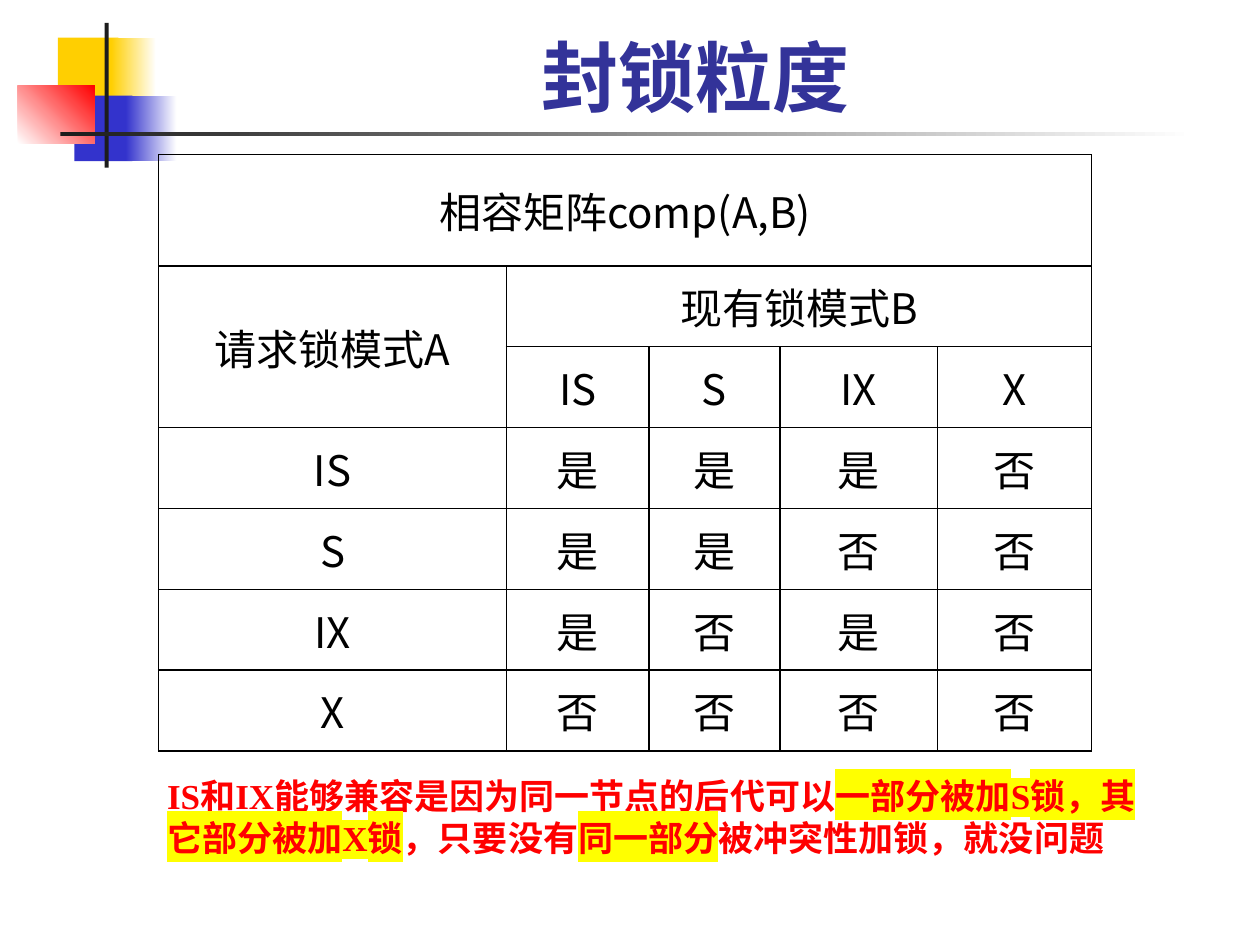
from dataclasses import dataclass
from typing import Optional

import pptx
import pptx.dml.color
import pptx.enum.shapes
import pptx.enum.text
import pptx.oxml.ns
import pptx.oxml.xmlchemy
import pptx.util
from lxml import etree

Cm = pptx.util.Cm
Pt = pptx.util.Pt
RGB = pptx.dml.color.RGBColor
qn = pptx.oxml.ns.qn
ALIGN = pptx.enum.text.PP_ALIGN
ANCHOR = pptx.enum.text.MSO_ANCHOR

GOLD = RGB(0xFF, 0xCF, 0x01)
BLUE = RGB(0x33, 0x33, 0xCC)
NAVY = RGB(0x33, 0x33, 0x99)
RED = RGB(0xFF, 0, 0)
DARK = RGB(0x1C, 0x1C, 0x1C)
WHITE = RGB(0xFF, 0xFF, 0xFF)
BLACK = RGB(0, 0, 0)
YELLOW = RGB(0xFF, 0xFF, 0)
SANS = "Noto Sans CJK SC"


@dataclass
class Block:
    left: float
    top: float
    width: float
    height: float
    color: RGB
    fade: Optional[RGB] = None
    angle: float = 0


@dataclass
class Style:
    size: int
    font: str
    color: RGB
    bold: bool = False


BLOCKS = [
    Block(1.17, 0.76, 1.22, 1.32, GOLD),
    Block(2.24, 0.76, 0.91, 1.32, GOLD, WHITE),
    Block(1.5, 1.93, 1.17, 1.32, BLUE),
    Block(2.54, 1.93, 1.02, 1.32, BLUE, WHITE),
    Block(0.36, 1.73, 1.55, 1.17, WHITE, RED, 45),
    Block(2.11, 0.46, 0.08, 2.92, DARK),
    Block(1.22, 2.67, 22.86, 0.08, DARK, WHITE),
]

HEAD = Style(44, "Karla", NAVY, True)
BODY = Style(24, SANS, BLACK)
NOTE = Style(20, "Times New Roman", RED, True)

COLS = [7.01, 2.87, 2.64, 3.18, 3.1]
ROWS = [2.24] + [1.63] * 6
MODES = ["IS", "S", "IX", "X"]
MATRIX = ["是是是否", "是是否否", "是否是否", "否否否否"]
MERGES = [(0, 0, 0, 4), (1, 0, 2, 0), (1, 1, 1, 4)]

# Each part of the note, and whether it is marked
PARTS = [
    ("IS和IX能够兼容是因为同一节点的后代可以", False),
    ("一部分被加S锁，其它部分被加X锁", True),
    ("，只要没有", False),
    ("同一部分", True),
    ("被冲突性加锁，就没问题", False),
]


def add_block(slide, block: Block) -> None:
    shape = slide.shapes.add_shape(
        pptx.enum.shapes.MSO_SHAPE.RECTANGLE,
        Cm(block.left), Cm(block.top), Cm(block.width), Cm(block.height))
    shape.shadow.inherit = False
    shape.line.fill.background()
    if block.fade is None:
        shape.fill.solid()
        shape.fill.fore_color.rgb = block.color
        return
    shape.fill.gradient()
    shape.fill.gradient_angle = block.angle
    for stop, color in zip(shape.fill.gradient_stops, (block.color, block.fade)):
        stop.color.rgb = color


def add_run(para, text: str, style: Style, mark: bool = False) -> None:
    run = para.add_run()
    run.text = text
    font = run.font
    font.size, font.name, font.bold = Pt(style.size), style.font, style.bold
    font.color.rgb = style.color
    props = run._r.get_or_add_rPr()
    props.find(qn("a:latin")).addnext(
        props.makeelement(qn("a:ea"), {"typeface": SANS}))
    if mark:
        light = props.makeelement(qn("a:highlight"), {})
        etree.SubElement(light, qn("a:srgbClr"), val=str(YELLOW))
        props.find(qn("a:solidFill")).addnext(light)


def add_box(slide, left: float, top: float, width: float, height: float):
    box = slide.shapes.add_textbox(Cm(left), Cm(top), Cm(width), Cm(height))
    box.text_frame.word_wrap = True
    return box.text_frame


def add_edges(cell, row: int) -> None:
    props = cell._tc.get_or_add_tcPr()
    for side in "LRTB":
        width = 0.75 if row == 0 and side != "B" else 1
        line = etree.SubElement(props, qn("a:ln" + side), w=str(Pt(width)))
        fill = etree.SubElement(line, qn("a:solidFill"))
        etree.SubElement(fill, qn("a:srgbClr"), val=str(BLACK))


def add_matrix(slide) -> None:
    grid = [
        ["相容矩阵comp(A,B)"] + [""] * 4,
        ["请求锁模式A", "现有锁模式B", "", "", ""],
        [""] + MODES,
    ] + [[mode, *marks] for mode, marks in zip(MODES, MATRIX)]
    table = slide.shapes.add_table(
        len(ROWS), len(COLS), Cm(3.2), Cm(3.12),
        Cm(sum(COLS)), Cm(sum(ROWS))).table
    table.first_row = table.horz_banding = False
    for col, width in zip(table.columns, COLS):
        col.width = Cm(width)
    for row, height in zip(table.rows, ROWS):
        row.height = Cm(height)
    for r, line in enumerate(grid):
        for c, text in enumerate(line):
            cell = table.cell(r, c)
            add_edges(cell, r)
            cell.fill.background()
            cell.vertical_anchor = ANCHOR.MIDDLE
            para = cell.text_frame.paragraphs[0]
            para.alignment = ALIGN.CENTER
            if text:
                add_run(para, text, BODY)
    for top, left, bottom, right in MERGES:
        table.cell(top, left).merge(table.cell(bottom, right))


def main() -> None:
    deck = pptx.Presentation()
    deck.slide_width, deck.slide_height = Cm(25.4), Cm(19.05)
    slide = deck.slides.add_slide(deck.slide_layouts[6])

    # Corner ornament and rule
    for block in BLOCKS:
        add_block(slide, block)

    # Title
    frame = add_box(slide, 3.2, 0.46, 21.64, 2.13)
    frame.vertical_anchor = ANCHOR.BOTTOM
    para = frame.paragraphs[0]
    para.alignment = ALIGN.CENTER
    add_run(para, "封锁粒度", HEAD)

    # Lock matrix
    add_matrix(slide)

    # Note below the matrix
    para = add_box(slide, 3.12, 15.49, 20.57, 1.96).paragraphs[0]
    para.line_spacing = Pt(24)
    for text, mark in PARTS:
        add_run(para, text, NOTE, mark)

    deck.save("out.pptx")


if __name__ == "__main__":
    main()
